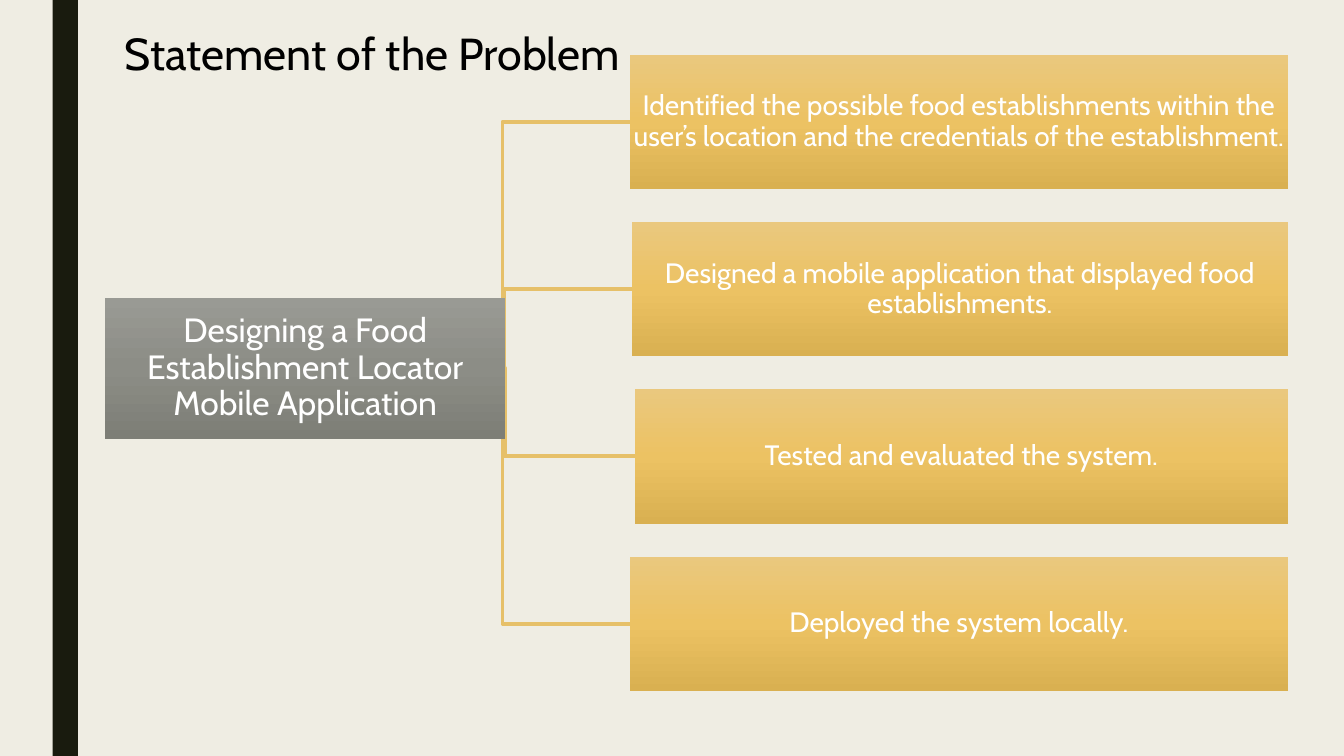
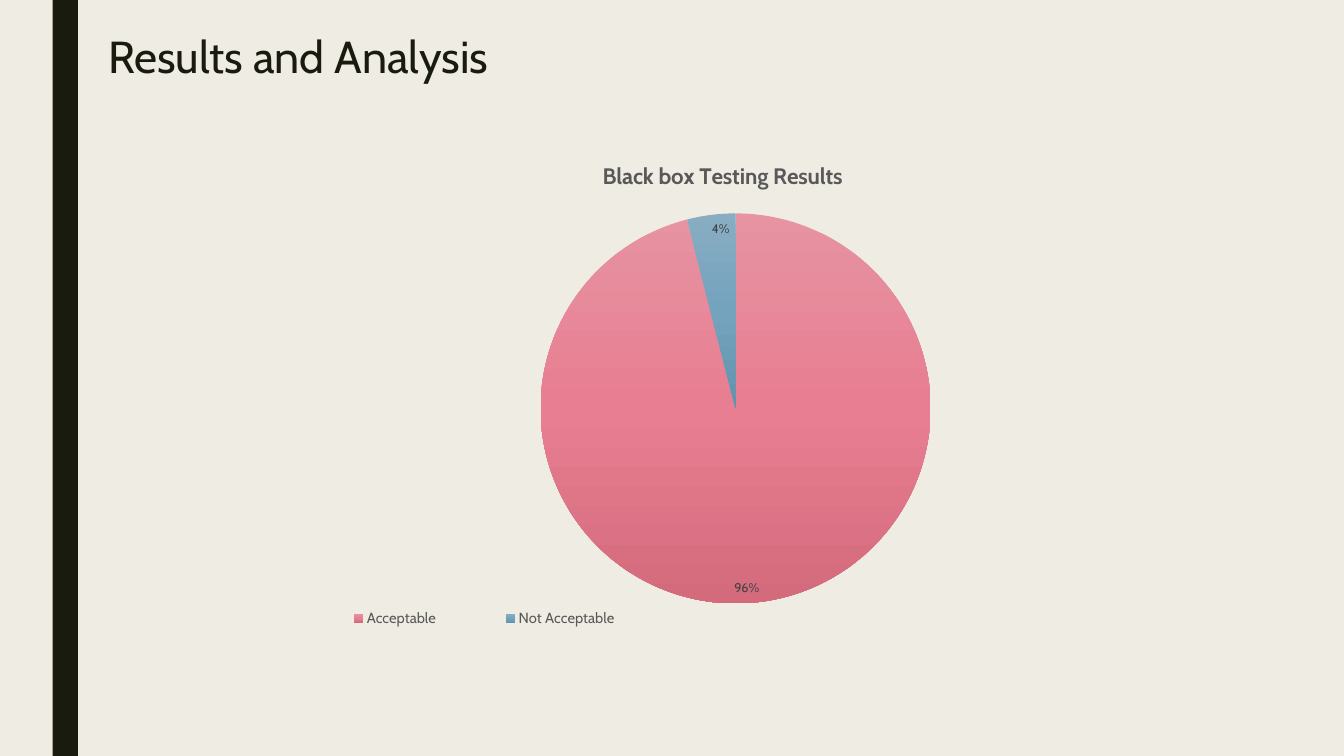
import copy
import pptx
import pptx.chart.data
import pptx.dml.color
import pptx.enum.chart
import pptx.enum.shapes
import pptx.enum.text
import pptx.oxml
import pptx.util

Pt = pptx.util.Pt
RGB = pptx.dml.color.RGBColor
RECT = pptx.enum.shapes.MSO_SHAPE.RECTANGLE
ELBOW = pptx.enum.shapes.MSO_CONNECTOR.ELBOW
ALIGN = pptx.enum.text.PP_ALIGN
ANCHOR = pptx.enum.text.MSO_ANCHOR

FONT = "Cabin"
CREAM = RGB(0xEF, 0xED, 0xE3)
DARK = RGB(0x19, 0x1B, 0x0E)
BLACK = RGB(0, 0, 0)
WHITE = RGB(255, 255, 255)
AMBER = RGB(0xE6, 0xC0, 0x69)
SLATE = RGB(0x59, 0x59, 0x59)
INK = RGB(0x40, 0x40, 0x40)
GRAY = RGB(0x99, 0x9A, 0x94), RGB(0x8C, 0x8D, 0x86), RGB(0x7D, 0x7E, 0x76)
GOLD = RGB(0xEA, 0xC8, 0x7E), RGB(0xEC, 0xC2, 0x63), RGB(0xD9, 0xB0, 0x51)
ROSE = RGB(0xE7, 0x93, 0xA2), RGB(0xE7, 0x7E, 0x91), RGB(0xD3, 0x6B, 0x7D)
BLUE = RGB(0x88, 0xAD, 0xC3), RGB(0x74, 0xA3, 0xBE), RGB(0x63, 0x92, 0xAD)


def shade(fill, root, tones):
    """Give fill, the last gradient inside root, three stops from top to bottom."""
    fill.gradient()
    fill.gradient_angle = 270
    stops = root.xpath(".//a:gsLst")[-1]
    stops.insert(1, copy.deepcopy(stops[0]))
    for stop, place, tone in zip(fill.gradient_stops, (0, 0.5, 1), tones):
        stop.position = place
        stop.color.rgb = tone


def style(font, size, color, bold=False):
    font.name, font.size, font.bold = FONT, Pt(size), bold
    font.color.rgb = color


# What the slides share: background, side band and title style
deck = pptx.Presentation()
deck.slide_width, deck.slide_height = Pt(960), Pt(540)
back = deck.slide_master.background.fill
back.solid()
back.fore_color.rgb = CREAM

heads = [
    ("Statement of the Problem", (82, 14.4, 385, 46), BLACK, 1),
    ("Results and Analysis", (70, 21.6, 756, 116.6), DARK, 0.89),
]
for text, spot, color, space in heads:
    slide = deck.slides.add_slide(deck.slide_layouts[5])
    band = slide.shapes.add_shape(RECT, Pt(37.6), 0, Pt(18), Pt(540))
    band.shadow.inherit = False
    band.fill.solid()
    band.fill.fore_color.rgb = DARK
    band.line.fill.background()
    title = slide.shapes.title
    title.left, title.top, title.width, title.height = map(Pt, spot)
    frame = title.text_frame
    frame.text = text
    frame.auto_size = pptx.enum.text.MSO_AUTO_SIZE.NONE
    frame.vertical_anchor = ANCHOR.TOP
    para = frame.paragraphs[0]
    para.alignment = ALIGN.LEFT
    para.line_spacing = space
    style(para.runs[0].font, 32, color)

first, second = deck.slides

# Slide 1: one topic branching into four tasks
tasks = [
    (450, "Identified the possible food establishments within the "
          "user’s location and the credentials of the establishment."),
    (451.5, "Designed a mobile application that displayed food establishments."),
    (453.5, "Tested and evaluated the system."),
    (450, "Deployed the system locally."),
]
RIGHT, TOP, STEP, HIGH = 920, 39, 119.5, 96
boxes = [("Designing a Food Establishment Locator Mobile Application",
          75, 212.5, 286, 101, 24, GRAY)]
for row, (left, text) in enumerate(tasks):
    top = TOP + row * STEP
    boxes.append((text, left, top, RIGHT - left, HIGH, 20, GOLD))
    mid = top + HIGH / 2
    link = first.shapes.add_connector(ELBOW, Pt(268), Pt(263), Pt(left), Pt(mid))
    link.line.color.rgb = AMBER
    link.line.width = Pt(2.75)
    link.element.spPr.append(pptx.oxml.parse_xml(
        '<a:effectLst xmlns:a="http://schemas.openxmlformats.org/drawingml/2006/main"/>'))

for text, left, top, width, height, size, tones in boxes:
    box = first.shapes.add_shape(RECT, Pt(left), Pt(top), Pt(width), Pt(height))
    box.shadow.inherit = False
    box.line.fill.background()
    shade(box.fill, box.element, tones)
    frame = box.text_frame
    frame.text = text
    frame.word_wrap = True
    frame.vertical_anchor = ANCHOR.MIDDLE
    frame.margin_left = frame.margin_right = Pt(1)
    frame.margin_top = frame.margin_bottom = Pt(1)
    para = frame.paragraphs[0]
    para.alignment = ALIGN.CENTER
    para.line_spacing = 0.9
    style(para.runs[0].font, size, WHITE)

# Slide 2: pie chart of the test results
data = pptx.chart.data.CategoryChartData()
data.categories = ["Acceptable", "Not Acceptable"]
data.add_series("Series 1", (96, 4))
chart = second.shapes.add_chart(
    pptx.enum.chart.XL_CHART_TYPE.PIE,
    Pt(206.6), Pt(100.8), Pt(619.2), Pt(357), data).chart
style(chart.font, 10, BLACK)
chart.has_title = True
chart.chart_title.text_frame.text = "Black box Testing Results"
style(chart.chart_title.text_frame.paragraphs[0].runs[0].font, 16, SLATE, True)

plot = chart.plots[0]
plot.vary_by_categories = True
for index, tones in enumerate((ROSE, BLUE)):
    point = plot.series[0].points[index]
    shade(point.format.fill, chart.element, tones)
    point.format.line.fill.background()

plot.has_data_labels = True
labels = plot.data_labels
labels.show_percentage = True
labels.show_value = False
labels.number_format = "0%"
labels.number_format_is_linked = False
labels.position = pptx.enum.chart.XL_LABEL_POSITION.INSIDE_END
style(labels.font, 9, INK)

chart.has_legend = True
legend = chart.legend
legend.position = pptx.enum.chart.XL_LEGEND_POSITION.BOTTOM
legend.include_in_layout = False
style(legend.font, 10.5, SLATE)

# Fixed places for the pie and the legend, as shares of the chart
SPACE = "http://schemas.openxmlformats.org/drawingml/2006/chart"
places = [
    ("plotArea", '<c:layoutTarget val="inner"/>', (0.29, 0.13, 0.45, 0.81)),
    ("legend", "", (0, 0.92, 0.45, 0.07)),
]
for name, target, (x, y, w, h) in places:
    part = chart.element.xpath(f".//c:{name}")[0]
    for old in part.xpath("./c:layout"):
        part.remove(old)
    layout = pptx.oxml.parse_xml(
        f'<c:layout xmlns:c="{SPACE}"><c:manualLayout>{target}'
        '<c:xMode val="edge"/><c:yMode val="edge"/>'
        f'<c:x val="{x}"/><c:y val="{y}"/><c:w val="{w}"/><c:h val="{h}"/>'
        '</c:manualLayout></c:layout>')
    part.insert(1 if name == "legend" else 0, layout)

deck.save("out.pptx")
